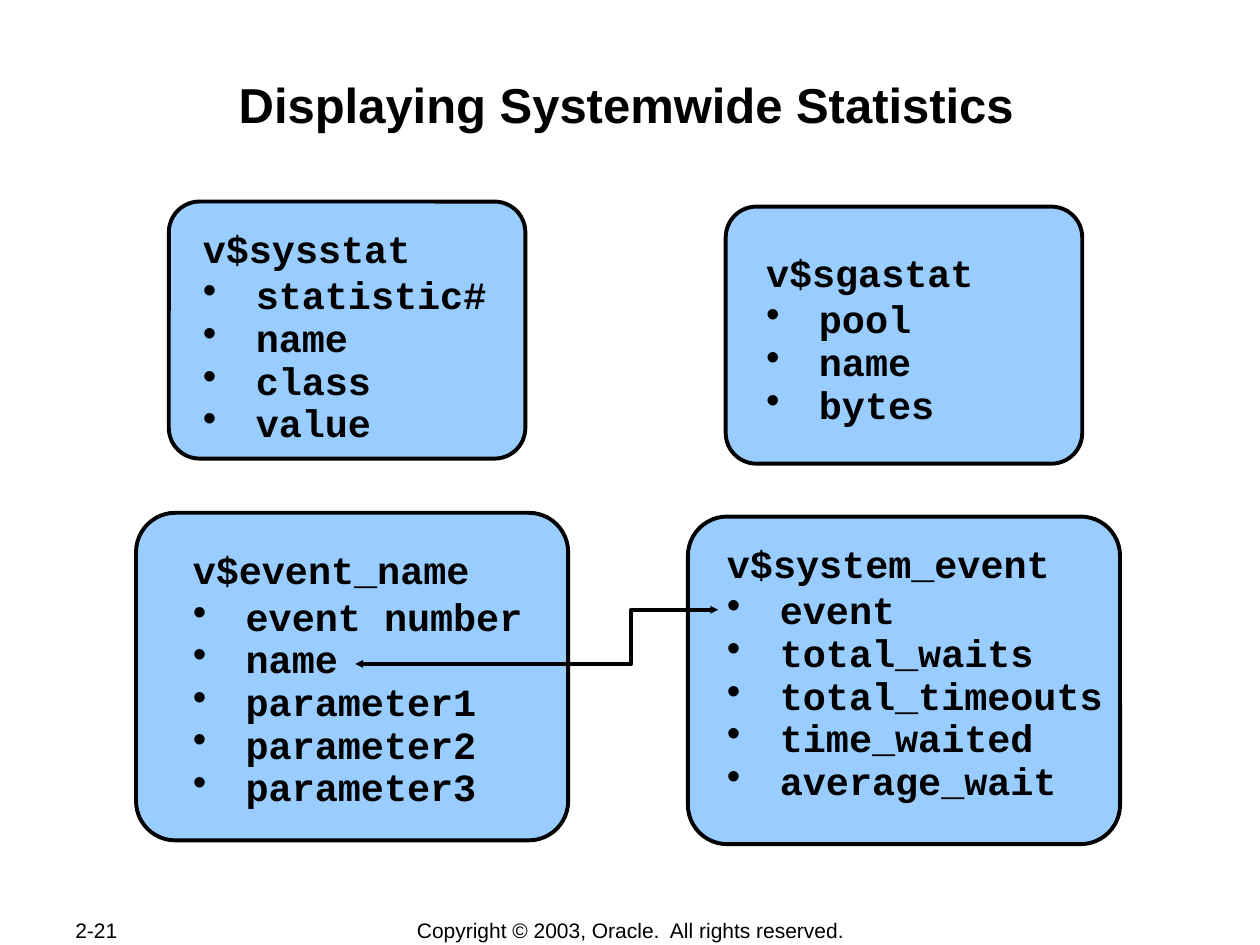
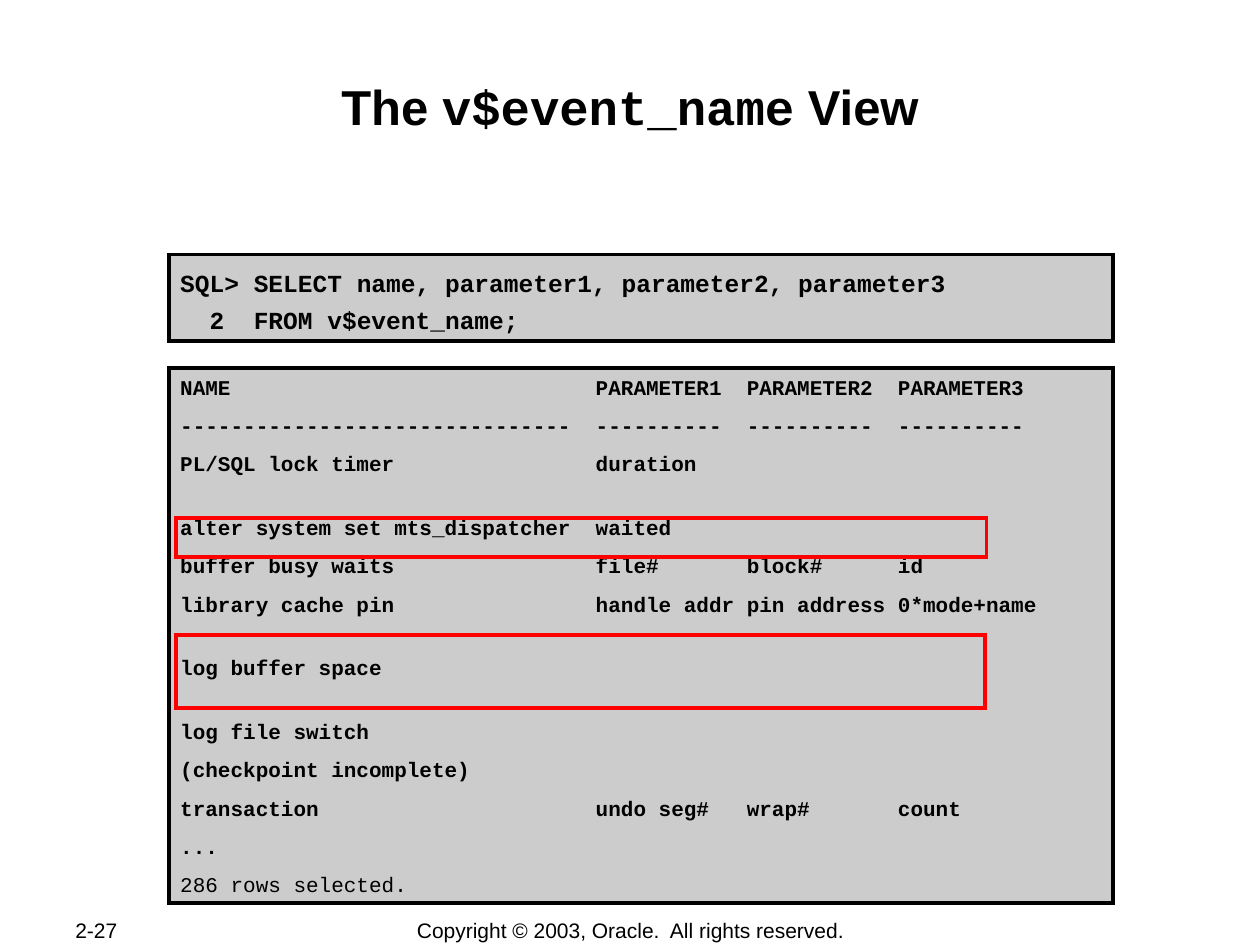
from lxml.etree import SubElement
from pptx import Presentation
from pptx.dml.color import RGBColor
from pptx.enum.shapes import MSO_CONNECTOR as Connector, MSO_SHAPE as Shape
from pptx.enum.text import MSO_ANCHOR as Anchor, MSO_AUTO_SIZE as AutoSize, PP_ALIGN as Align
from pptx.oxml.ns import qn
from pptx.util import Inches, Pt

BLACK = RGBColor(0x00, 0x00, 0x00)
VIEW_BLUE = RGBColor(0x99, 0xCC, 0xFF)
CODE_GREY = RGBColor(0xCC, 0xCC, 0xCC)
MARK_RED = RGBColor(0xFF, 0x00, 0x00)
SANS, MONO = "Arial", "Courier New"
COLUMNS, ROWS = 100, 75
CELL = Inches(0.1)
OUTLINE = Pt(2.25)
COPYRIGHT = "Copyright © 2003, Oracle.  All rights reserved."

VIEWS = [
    ((57.6, 16.4, 28.3, 20.4), (59.5, 19.7, 24, 14.5),
     "v$sgastat", ["pool", "name", "bytes"]),
    ((13.4, 16, 28.3, 20.4), (14.8, 17.8, 30.2, 17.9),
     "v$sysstat", ["statistic#", "name", "class", "value"]),
    ((54.6, 41, 34.3, 26), (56.4, 42.8, 33, 26.6),
     "v$system_event",
     ["event", "total_waits", "total_timeouts", "time_waited", "average_wait"]),
    ((10.8, 40.7, 34.3, 26), (14, 43.3, 30.1, 22.7),
     "v$event_name",
     ["event number", "name", "parameter1", "parameter2", "parameter3"]),
]
QUERY = ["SQL> SELECT name, parameter1, parameter2, parameter3",
         "  2  FROM v$event_name;"]
EVENTS = [
    ("NAME", "PARAMETER1", "PARAMETER2", "PARAMETER3"),
    ("-" * 31, "-" * 10, "-" * 10, "-" * 10),
    ("PL/SQL lock timer", "duration", "", ""),
    ("alter system set mts_dispatcher", "waited", "", ""),
    ("buffer busy waits", "file#", "block#", "id"),
    ("library cache pin", "handle addr", "pin address", "0*mode+name"),
    ("log buffer space", "", "", ""),
    ("log file switch", "", "", ""),
    ("(checkpoint incomplete)", "", "", ""),
    ("transaction", "undo seg#", "wrap#", "count"),
    ("...", "", "", ""),
    ("286 rows selected.", "", "", ""),
]
SPACED_EVENTS = ("alter system set mts_dispatcher", "log buffer space", "log file switch")


def cells(*counts):
    return [round(count * CELL) for count in counts]


def style(font, size, name=SANS, bold=False):
    font.name, font.size, font.bold = name, Pt(size), bold
    font.color.rgb = BLACK


def set_frame(frame, side, top, anchor=Anchor.TOP):
    frame.word_wrap = True
    frame.auto_size = AutoSize.NONE
    frame.vertical_anchor = anchor
    frame.margin_left = frame.margin_right = Inches(side)
    frame.margin_top = frame.margin_bottom = Inches(top)


def write_lines(frame, lines):
    frame.text = lines[0]
    for line in lines[1:]:
        frame.add_paragraph().text = line
    return frame.paragraphs


def add_footer(slide, area, text, align):
    frame = slide.shapes.add_textbox(*cells(*area)).text_frame
    set_frame(frame, 0.1, 0, Anchor.MIDDLE)
    frame.text = text
    frame.paragraphs[0].alignment = align
    style(frame.paragraphs[0].font, 12)


def add_slide(deck, title_area, title_parts, page):
    slide = deck.slides.add_slide(deck.slide_layouts[5])
    title = slide.shapes.title
    title.left, title.top, title.width, title.height = cells(*title_area)
    set_frame(title.text_frame, 0.01, 0.01)
    heading = title.text_frame.paragraphs[0]
    heading.alignment = Align.CENTER
    for text, font_name in title_parts:
        part = heading.add_run()
        part.text = text
        style(part.font, 28, font_name, True)
    add_footer(slide, (5, 72.8, 10.6, 2), page, Align.LEFT)
    add_footer(slide, (27.6, 72.8, 44.9, 2.1), COPYRIGHT, Align.CENTER)
    return slide


def add_panel(slide, kind, area, fill=None, line=BLACK):
    panel = slide.shapes.add_shape(kind, *cells(*area))
    panel.shadow.inherit = False
    if fill is None:
        panel.fill.background()
    else:
        panel.fill.solid()
        panel.fill.fore_color.rgb = fill
    panel.line.color.rgb = line
    panel.line.width = OUTLINE
    SubElement(panel.line._get_or_add_ln(), qn("a:miter"), lim="800000")
    return panel


def add_bullet(paragraph, indent):
    props = paragraph._p.get_or_add_pPr()
    props.set("marL", str(indent))
    props.set("indent", str(-indent))
    SubElement(props, qn("a:buFont"), typeface=SANS)
    SubElement(props, qn("a:buChar"), char="•")


def add_view(slide, panel_area, text_area, view, fields):
    add_panel(slide, Shape.ROUNDED_RECTANGLE, panel_area, VIEW_BLUE).adjustments[0] = 0.12
    frame = slide.shapes.add_textbox(*cells(*text_area)).text_frame
    set_frame(frame, 0.13, 0.06)
    heading, *items = write_lines(frame, [view, *fields])
    heading.line_spacing = 0.85
    for item in items:
        item.line_spacing = 0.4
        item.space_before = Pt(13.8)
        add_bullet(item, Inches(0.42))
    for paragraph in frame.paragraphs:
        style(paragraph.font, 22, MONO, True)


def add_join_arrow(slide, start, end, bend):
    arrow = slide.shapes.add_connector(Connector.ELBOW, *cells(*start, *end))
    arrow.line.color.rgb = BLACK
    arrow.line.width = OUTLINE
    props = arrow._element.spPr
    guides = props.find(qn("a:prstGeom")).get_or_add_avLst()
    SubElement(guides, qn("a:gd"), name="adj1", fmla=f"val {round(bend * 100000)}")
    for tip in ("a:headEnd", "a:tailEnd"):
        SubElement(arrow.line._get_or_add_ln(), qn(tip), type="triangle", w="sm", len="sm")
    SubElement(props, qn("a:effectLst"))


def add_code(slide, area, lines, size):
    frame = add_panel(slide, Shape.RECTANGLE, area, CODE_GREY).text_frame
    set_frame(frame, 0.09, 0.05)
    paragraphs = write_lines(frame, lines)
    for paragraph in paragraphs:
        paragraph.alignment = Align.LEFT
        style(paragraph.font, size, MONO, True)
    return paragraphs


def build_statistics(deck):
    slide = add_slide(deck, (9.7, 5.8, 80, 9.6),
                      [("Displaying Systemwide Statistics", SANS)], "2-21")
    for view in VIEWS:
        add_view(slide, *view)
    add_join_arrow(slide, (28.2, 52.7), (57, 48.4), 0.76)


def build_event_name(deck):
    slide = add_slide(deck, (10, 6, 80, 9.6),
                      [("The ", SANS), ("v$event_name", MONO), (" View", SANS)], "2-27")
    report = [f"{name:<33}{first:<12}{second:<12}{third}".rstrip()
              for name, first, second, third in EVENTS]
    rows = add_code(slide, (13.4, 29.2, 74.9, 42.5), report, 12)
    for row, event in zip(rows[1:], EVENTS[1:]):
        row.space_before = Pt(22 if event[0] in SPACED_EVENTS else 7.5)
    rows[-1].font.bold = False
    for line in add_code(slide, (13.4, 20.2, 74.9, 6.9), QUERY, 14):
        line.line_spacing = 1.25
    for area in ((14, 41.1, 64.3, 3.1), (14, 50.4, 64.2, 5.8)):
        add_panel(slide, Shape.RECTANGLE, area, line=MARK_RED)


def main():
    deck = Presentation()
    deck.slide_width, deck.slide_height = cells(COLUMNS, ROWS)
    build_statistics(deck)
    build_event_name(deck)
    deck.save("out.pptx")


if __name__ == "__main__":
    main()
